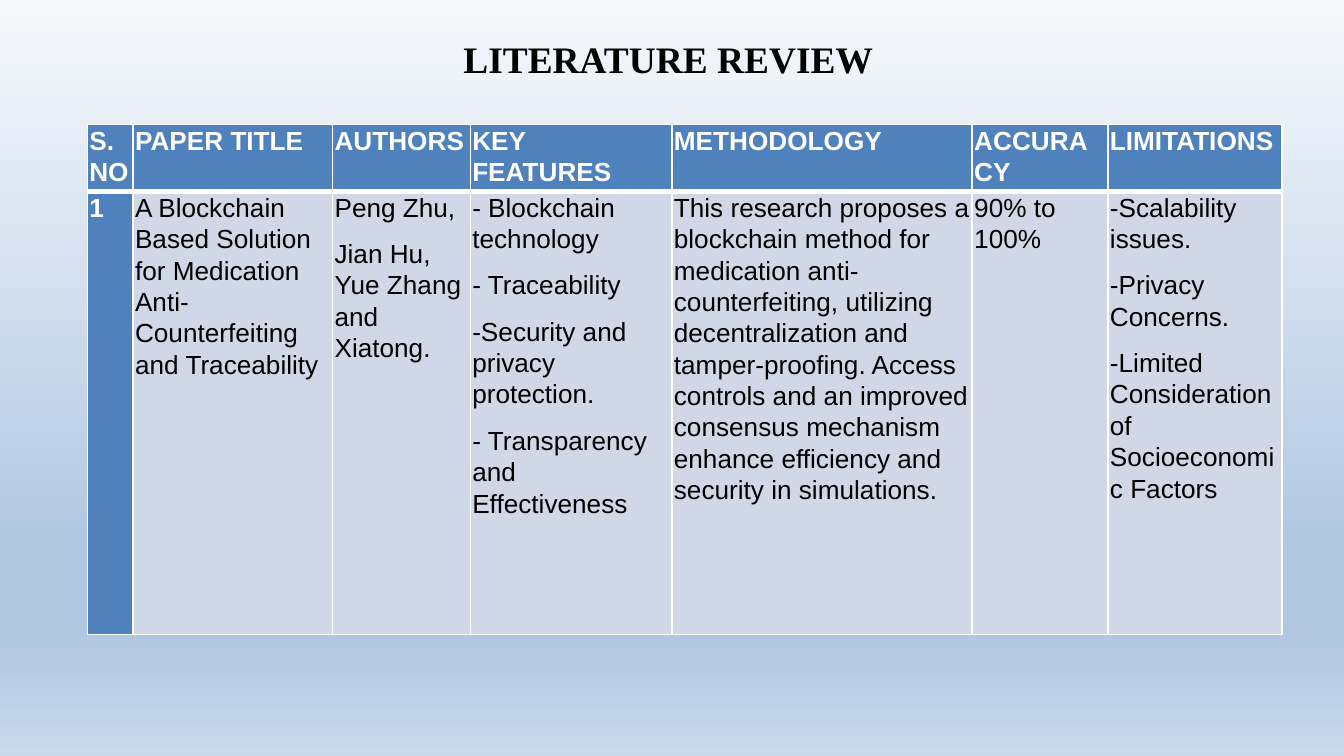
import lxml.etree
import pptx
import pptx.dml.color
import pptx.enum.text
import pptx.oxml.ns
import pptx.util

PX = 4572  # EMU per px, 200 px to the inch
COLORS = {
    "sky_top": "F6F9FC",
    "sky_mid": "B0C6E1",
    "sky_end": "CAD9EB",
    "header": "4F81BD",
    "body": "D0D8E8",
    "white": "FFFFFF",
    "black": "000000",
}
COLUMNS = [
    ("S.NO", 68, ["1"]),
    ("PAPER TITLE", 297, ["A Blockchain Based Solution for Medication "
                          "Anti-Counterfeiting and Traceability"]),
    ("AUTHORS", 205, ["Peng Zhu,", "Jian Hu, Yue Zhang and Xiatong."]),
    ("KEY FEATURES", 300, ["- Blockchain technology", "- Traceability",
                           "-Security and privacy protection.",
                           "- Transparency and Effectiveness"]),
    ("METHODOLOGY", 447, ["This research proposes a blockchain method for medication "
                          "anti-counterfeiting, utilizing decentralization and "
                          "tamper-proofing. Access controls and an improved consensus "
                          "mechanism enhance efficiency and security in simulations."]),
    ("ACCURACY", 202, ["90% to 100%"]),
    ("LIMITATIONS", 259, ["-Scalability issues.", "-Privacy Concerns.",
                          "-Limited Consideration of Socioeconomic Factors"]),
]


def px(n):
    return pptx.util.Emu(n * PX)


def rgb(name):
    return pptx.dml.color.RGBColor.from_string(COLORS[name])


def add_xml(parent, tag, **attrs):
    return lxml.etree.SubElement(parent, pptx.oxml.ns.qn(tag), attrs)


def write_text(tf, paragraphs, size=14, font="Arial", color="black", bold=False,
               spacing=None, after=None):
    for i, text in enumerate(paragraphs):
        p = tf.add_paragraph() if i else tf.paragraphs[0]
        if spacing is not None:
            p.line_spacing = spacing
        if after is not None:
            p.space_after = pptx.util.Pt(after)
        r = p.add_run()
        r.text = text
        r.font.size = pptx.util.Pt(size)
        r.font.name = font
        r.font.bold = bold
        r.font.color.rgb = rgb(color)


def fill_background(s):
    fill = s.background.fill
    fill.gradient()
    fill.gradient_angle = 270
    stops = s._element.find(".//" + pptx.oxml.ns.qn("a:gsLst"))
    stops.clear()
    for pos, name in [(0, "sky_top"), (74, "sky_mid"), (83, "sky_mid"), (100, "sky_end")]:
        stop = add_xml(stops, "a:gs", pos=str(pos * 1000))
        add_xml(stop, "a:srgbClr", val=COLORS[name])


def add_title(s, x, y, w, h):
    tf = s.shapes.add_textbox(px(x), px(y), px(w), px(h)).text_frame
    tf.word_wrap = False
    tf.auto_size = pptx.enum.text.MSO_AUTO_SIZE.SHAPE_TO_FIT_TEXT
    write_text(tf, ["LITERATURE REVIEW"], size=20, font="Times New Roman", bold=True)


def set_borders(cell, **widths):
    """Draw white borders; widths in points are keyed by side: L, R, T, B."""
    tc_pr = cell._tc.get_or_add_tcPr()
    for side, width in widths.items():
        ln = add_xml(tc_pr, "a:ln" + side, w=str(pptx.util.Pt(width)))
        add_xml(add_xml(ln, "a:solidFill"), "a:srgbClr", val=COLORS["white"])


def format_cell(cell, paragraphs, accent, bottom, top):
    cell.margin_left = cell.margin_right = px(3)
    cell.margin_top = cell.margin_bottom = 0
    set_borders(cell, L=1, R=1, T=top, B=bottom)
    cell.fill.solid()
    cell.fill.fore_color.rgb = rgb("header" if accent else "body")
    write_text(cell.text_frame, paragraphs, color="white" if accent else "black",
               bold=accent, spacing=1.07, after=8)


def add_review_table(s, x, y, w, h, header_h=97):
    table = s.shapes.add_table(2, len(COLUMNS), px(x), px(y), px(w), px(h)).table
    table.horz_banding = False
    table.rows[0].height = px(header_h)
    table.rows[1].height = px(h - header_h)
    for i, (heading, width, entry) in enumerate(COLUMNS):
        table.columns[i].width = px(width)
        format_cell(table.cell(0, i), [heading], accent=True, top=1, bottom=3)
        format_cell(table.cell(1, i), entry, accent=i == 0, top=3, bottom=1)


def main():
    prs = pptx.Presentation()
    prs.slide_width, prs.slide_height = px(2000), px(1125)
    s = prs.slides.add_slide(prs.slide_layouts[6])
    fill_background(s)
    add_title(s, 670, 44, 660, 88)
    add_review_table(s, 130, 185, 1778, 756)
    prs.save("out.pptx")


if __name__ == "__main__":
    main()
